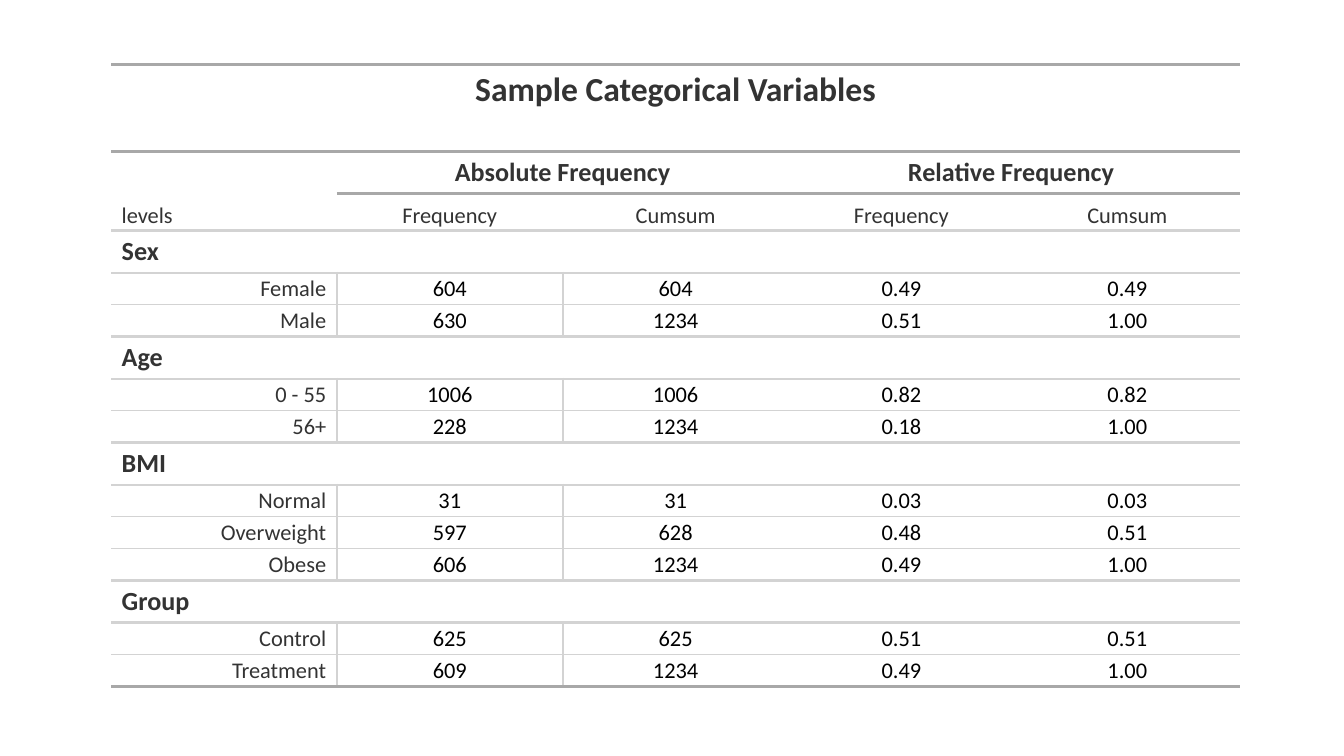
from dataclasses import dataclass

from lxml import etree
from pptx import Presentation
from pptx.dml.color import RGBColor
from pptx.enum.text import MSO_ANCHOR, PP_ALIGN
from pptx.oxml.ns import qn
from pptx.util import Pt

LEFT, CENTER, RIGHT = PP_ALIGN.LEFT, PP_ALIGN.CENTER, PP_ALIGN.RIGHT
MIDDLE, BOTTOM = MSO_ANCHOR.MIDDLE, MSO_ANCHOR.BOTTOM
NO_STYLE = "{2D5ABB26-0587-4C30-8999-92F81FD0307C}"


@dataclass(frozen=True)
class Theme:
    font: str = "Calibri"
    text: str = "333333"
    value: str = "000000"
    white: str = "FFFFFF"
    strong: str = "A8A8A8"
    light: str = "D3D3D3"
    title_size: int = 18
    heading_size: int = 14
    body_size: int = 12
    spacer_size: int = 9


T = Theme()
STRONG, LIGHT, THIN, CLEAR = (T.strong, 1.5), (T.light, 1.5), (T.light, 0.75), (T.white, 1.5)

groups = {
    "Sex": [("Female", "604", "604", "0.49", "0.49"),
            ("Male", "630", "1234", "0.51", "1.00")],
    "Age": [("0 - 55", "1006", "1006", "0.82", "0.82"),
            ("56+", "228", "1234", "0.18", "1.00")],
    "BMI": [("Normal", "31", "31", "0.03", "0.03"),
            ("Overweight", "597", "628", "0.48", "0.51"),
            ("Obese", "606", "1234", "0.49", "1.00")],
    "Group": [("Control", "625", "625", "0.51", "0.51"),
              ("Treatment", "609", "1234", "0.49", "1.00")],
}

# Each row: kind, line above it, texts
rows = [
    ("title", STRONG, ["Sample Categorical Variables"]),
    ("spacer", CLEAR, []),
    ("heading", STRONG, ["levels", "Absolute Frequency", "", "Relative Frequency"]),
    ("columns", STRONG, ["", "Frequency", "Cumsum", "Frequency", "Cumsum"]),
]
for group, levels in groups.items():
    rows.append(("group", LIGHT, [group]))
    for i, level in enumerate(levels):
        rows.append(("data", THIN if i else LIGHT, level))
edges = [edge for _, edge, _ in rows] + [STRONG]

# Row height, font size, bold, alignment, anchor, top and bottom margin
styles = {
    "title": (27.7, T.title_size, True, CENTER, MIDDLE, 2.8, 2.8),
    "spacer": (18.9, T.spacer_size, False, LEFT, MIDDLE, 2.8, 2.8),
    "heading": (22.6, T.heading_size, True, CENTER, MIDDLE, 2.7, 2.7),
    "columns": (19.9, T.body_size, False, CENTER, BOTTOM, 2.8, 0.7),
    "group": (22.6, T.heading_size, True, LEFT, MIDDLE, 2.7, 2.7),
    "data": (17.1, T.body_size, False, CENTER, MIDDLE, 0.7, 0.7),
}


def set_borders(cell, **lines):
    """Draw the given sides (L, R, T, B), each a (colour, width) pair."""
    tc_pr = cell._tc.get_or_add_tcPr()
    sides = [side for side in "LRTB" if side in lines]
    for i, side in enumerate(sides):
        color, width = lines[side]
        ln = etree.Element(qn(f"a:ln{side}"), w=str(Pt(width)))
        fill = etree.SubElement(ln, qn("a:solidFill"))
        etree.SubElement(fill, qn("a:srgbClr"), val=color)
        tc_pr.insert(i, ln)


prs = Presentation()
prs.slide_width, prs.slide_height = Pt(720), Pt(405)
s = prs.slides.add_slide(prs.slide_layouts[6])

n_cols, col_width = 5, 121
height = sum(styles[kind][0] for kind, _, _ in rows)
frame = s.shapes.add_table(len(rows), n_cols, Pt(59.5), Pt(34.5), Pt(n_cols * col_width), Pt(height))
table = frame.table
table.first_row = table.horz_banding = False
table._tbl.tblPr.find(qn("a:tableStyleId")).text = NO_STYLE
for column in table.columns:
    column.width = Pt(col_width)

for r, (kind, _, texts) in enumerate(rows):
    row_height, size, bold, align, anchor, above, below = styles[kind]
    table.rows[r].height = Pt(row_height)
    for c in range(n_cols):
        cell = table.cell(r, c)
        cell.fill.solid()
        cell.fill.fore_color.rgb = RGBColor.from_string(T.white)
        cell.vertical_anchor = anchor
        cell.margin_left = cell.margin_right = Pt(5.7)
        cell.margin_top, cell.margin_bottom = Pt(above), Pt(below)

        p = cell.text_frame.paragraphs[0]
        p.text = texts[c] if c < len(texts) else ""
        p.alignment = RIGHT if kind == "data" and c == 0 else align
        p.font.name, p.font.size, p.font.bold = T.font, Pt(size), bold
        color = T.value if kind == "data" and c else T.text
        p.font.color.rgb = RGBColor.from_string(color)

        lines = {"T": edges[r], "B": edges[r + 1]}
        if kind == "data" and c < 2:
            lines["L" if c else "R"] = LIGHT
        if c == 0 and kind == "heading":
            lines["B"] = LIGHT
        if c == 0 and kind == "columns":
            del lines["T"]
        set_borders(cell, **lines)
    if kind in ("title", "spacer", "group"):
        table.cell(r, 0).merge(table.cell(r, n_cols - 1))

# The "levels" label spans both header rows, each heading spans two columns
levels = table.cell(2, 0)
levels.merge(table.cell(3, 0))
levels.vertical_anchor = BOTTOM
levels.margin_bottom = Pt(0.7)
p = levels.text_frame.paragraphs[0]
p.alignment, p.font.size, p.font.bold = LEFT, Pt(T.body_size), False
for c, margin_right in ((1, 2.2), (3, 5.7)):
    heading = table.cell(2, c)
    heading.merge(table.cell(2, c + 1))
    heading.margin_left, heading.margin_right = Pt(2.2), Pt(margin_right)

prs.save("out.pptx")
